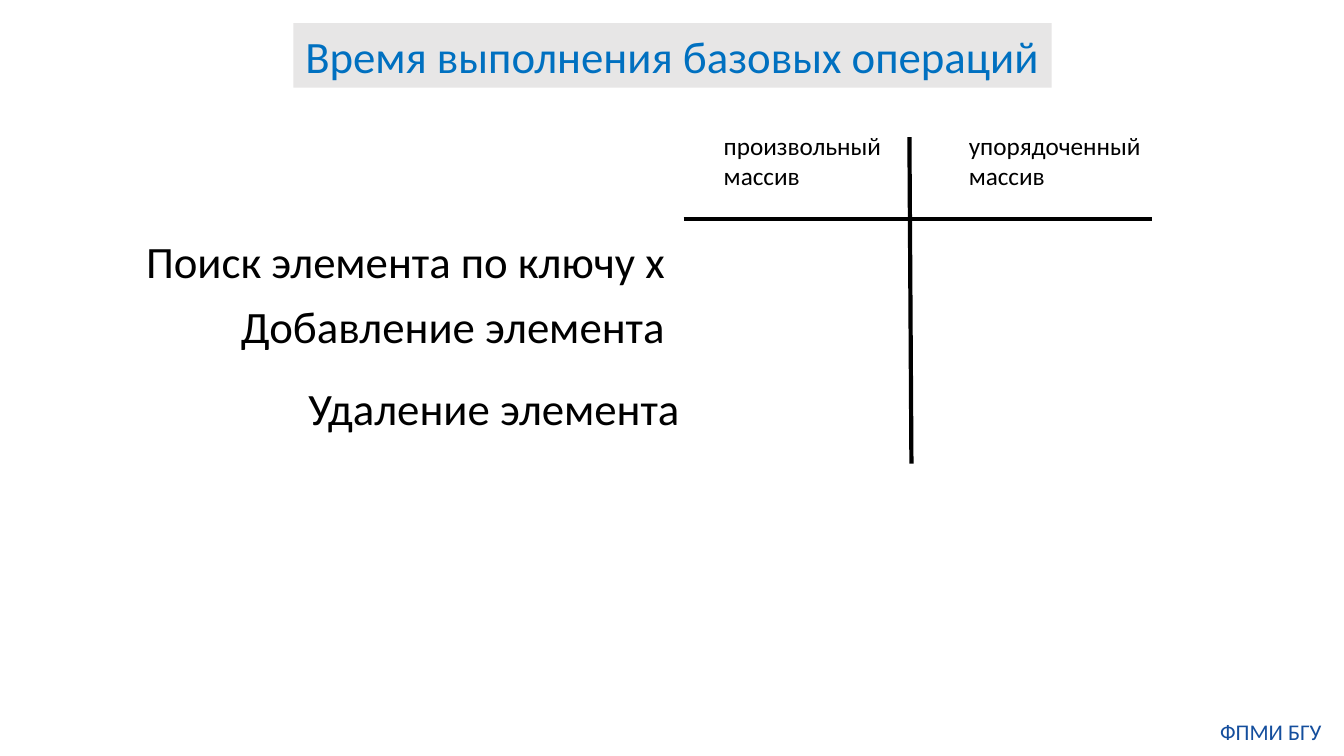
"""Builds the slide on running times of basic array operations."""
from dataclasses import dataclass

import pptx
import pptx.dml.color
import pptx.enum.shapes
import pptx.enum.text
import pptx.oxml
import pptx.slide
import pptx.util

EMU_PER_PX = 9144
FONT = "Calibri"
BLACK = pptx.dml.color.RGBColor(0x00, 0x00, 0x00)
TITLE_BLUE = pptx.dml.color.RGBColor(0x00, 0x70, 0xC0)
FOOTER_BLUE = pptx.dml.color.RGBColor(0x14, 0x4E, 0x9D)
TITLE_GREY = pptx.dml.color.RGBColor(0xE7, 0xE6, 0xE6)
LEFT = pptx.enum.text.PP_ALIGN.LEFT
CENTER = pptx.enum.text.PP_ALIGN.CENTER


@dataclass(frozen=True)
class Label:
    text: str
    left: int
    top: int
    width: int
    height: int
    size: int
    color: pptx.dml.color.RGBColor = BLACK
    align: pptx.enum.text.PP_ALIGN = LEFT
    wrap: bool = True
    inset: bool = True


@dataclass(frozen=True)
class Rule:
    x1: int
    y1: int
    x2: int
    y2: int


OPERATIONS = [
    Label("Поиск элемента по ключу x", 135, 227, 549, 64, 32),
    Label("Добавление элемента", 229, 291, 455, 64, 32),
    Label("Удаление элемента", 296, 373, 389, 64, 32),
]
ARRAY_KINDS = [
    Label("произвольный массив", 708, 124, 180, 71, 18),
    Label("упорядоченный массив", 951, 124, 228, 71, 18),
]
FOOTER = Label("ФПМИ БГУ", 1204, 712, 113, 27, 16, FOOTER_BLUE, CENTER, inset=False)
TITLE = Label("Время выполнения базовых операций", 291, 23, 752, 64, 32,
              TITLE_BLUE, CENTER, wrap=False)
TABLE_RULES = [Rule(678, 217, 1143, 217), Rule(902, 136, 904, 460)]


def px(length: int) -> pptx.util.Emu:
    """Convert px to EMU."""
    return pptx.util.Emu(length * EMU_PER_PX)


def add_label(slide: pptx.slide.Slide, label: Label,
              fill: pptx.dml.color.RGBColor | None = None) -> None:
    """Draw a label, on a filled rectangle when a fill is given."""
    place = [px(n) for n in (label.left, label.top, label.width, label.height)]
    if fill is None:
        box = slide.shapes.add_textbox(*place)
    else:
        box = slide.shapes.add_shape(pptx.enum.shapes.MSO_SHAPE.RECTANGLE, *place)
        box.shadow.inherit = False
        box.fill.solid()
        box.fill.fore_color.rgb = fill
        box.line.fill.background()
    frame = box.text_frame
    frame.word_wrap = label.wrap
    frame.auto_size = pptx.enum.text.MSO_AUTO_SIZE.SHAPE_TO_FIT_TEXT
    if not label.inset:
        frame.margin_left = frame.margin_right = 0
        frame.margin_top = frame.margin_bottom = 0
    paragraph = frame.paragraphs[0]
    paragraph.text = label.text
    paragraph.alignment = label.align
    paragraph.font.name = FONT
    paragraph.font.size = pptx.util.Pt(label.size)
    paragraph.font.color.rgb = label.color


def add_rule(slide: pptx.slide.Slide, rule: Rule) -> None:
    """Draw one straight rule of the table."""
    line = slide.shapes.add_connector(
        pptx.enum.shapes.MSO_CONNECTOR.STRAIGHT,
        px(rule.x1), px(rule.y1), px(rule.x2), px(rule.y2))
    line.line.color.rgb = BLACK
    line.line.width = pptx.util.Pt(3)
    line.element.spPr.append(pptx.oxml.parse_xml(
        '<a:effectLst xmlns:a="http://schemas.openxmlformats.org/drawingml/2006/main"/>'))


def main() -> None:
    """Build and save the slide."""
    deck = pptx.Presentation()
    deck.slide_width, deck.slide_height = px(1333), px(750)
    slide = deck.slides.add_slide(deck.slide_layouts[6])
    for label in [*OPERATIONS, *ARRAY_KINDS, FOOTER]:
        add_label(slide, label)
    add_label(slide, TITLE, TITLE_GREY)
    for rule in TABLE_RULES:
        add_rule(slide, rule)
    deck.save("out.pptx")


if __name__ == "__main__":
    main()
